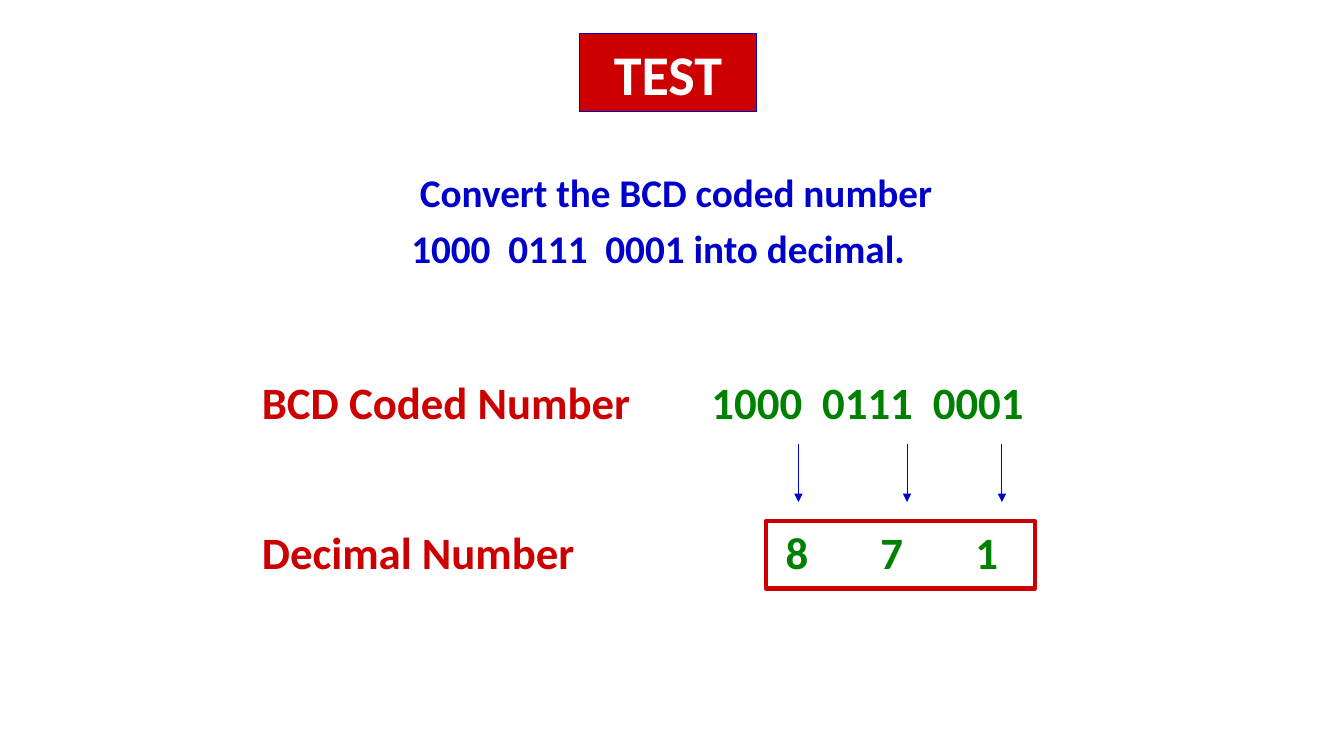
"""Builds the BCD to decimal test slide."""
from dataclasses import dataclass

from lxml import etree
from pptx import Presentation
from pptx import util as u
from pptx.dml.color import RGBColor
from pptx.enum import shapes, text
from pptx.oxml.ns import qn

COLORS = {"red": "CC0000", "blue": "0000CC", "green": "008000", "white": "FFFFFF"}
FONT = "Calibri"


@dataclass
class NumberRow:
    label: str
    groups: list[str]
    top: float
    first_tab: float
    tab_step: float


@dataclass
class Panel:
    left: float
    top: float
    width: float
    height: float
    line: str
    line_pt: float
    fill: str | None = None


NUMBER_ROWS = [
    NumberRow("BCD Coded Number", ["1000", "0111", "0001"], 9.32, 11.33, 2.79),
    NumberRow("Decimal Number", ["8", "7", "1"], 13.11, 13.2, 2.39),
]
ARROW_XS = [20.12, 22.86, 25.25]
ARROW_TOP, ARROW_BOTTOM = 11.18, 12.65
TEST_PANEL = Panel(14.61, 0.84, 4.45, 1.98, "blue", 0.75, "red")
ANSWER_PANEL = Panel(19.3, 13.13, 6.78, 1.7, "red", 3)
QUESTION = ["Convert the BCD coded number", "1000  0111  0001 into decimal.\t"]


def rgb(name: str) -> RGBColor:
    return RGBColor.from_string(COLORS[name])


def style(font, size: float, color: str | None = None) -> None:
    font.name, font.size, font.bold = FONT, u.Pt(size), True
    if color:
        font.color.rgb = rgb(color)


def add_text_frame(slide, left: float, top: float, width: float, height: float):
    frame = slide.shapes.add_textbox(u.Cm(left), u.Cm(top), u.Cm(width), u.Cm(height)).text_frame
    frame.word_wrap = True
    return frame


def add_question(slide) -> None:
    frame = add_text_frame(slide, 8.46, 4.24, 17.15, 3.18)
    for index, line in enumerate(QUESTION):
        paragraph = frame.paragraphs[0] if index == 0 else frame.add_paragraph()
        paragraph.text = line
        paragraph.alignment = text.PP_ALIGN.CENTER
        paragraph.line_spacing = 0.9
        if index:
            paragraph.space_before = u.Pt(10)
        properties = paragraph._p.get_or_add_pPr()
        properties.set("marL", str(u.Cm(0.64)))
        properties.set("indent", str(u.Cm(-0.64)))
        style(paragraph.font, 28, "blue")


def add_number_row(slide, row: NumberRow) -> None:
    paragraph = add_text_frame(slide, 6.35, row.top, 22, 1.6).paragraphs[0]
    tabs = etree.SubElement(paragraph._p.get_or_add_pPr(), qn("a:tabLst"))
    for index in range(len(row.groups)):
        position = u.Cm(row.first_tab + index * row.tab_step)
        etree.SubElement(tabs, qn("a:tab"), pos=str(position), algn="l")
    style(paragraph.font, 32)
    for content, color in ((row.label + "\t", "red"), ("\t".join(row.groups), "green")):
        run = paragraph.add_run()
        run.text = content
        run.font.color.rgb = rgb(color)


def add_arrow(slide, x: float) -> None:
    arrow = slide.shapes.add_connector(
        shapes.MSO_CONNECTOR.STRAIGHT, u.Cm(x), u.Cm(ARROW_TOP), u.Cm(x), u.Cm(ARROW_BOTTOM))
    arrow.line.color.rgb = rgb("blue")
    arrow.line.width = u.Pt(0.75)
    etree.SubElement(arrow.line._get_or_add_ln(), qn("a:tailEnd"), type="triangle")
    etree.SubElement(arrow._element.spPr, qn("a:effectLst"))


def add_panel(slide, panel: Panel):
    rectangle = slide.shapes.add_shape(
        shapes.MSO_SHAPE.RECTANGLE, u.Cm(panel.left), u.Cm(panel.top),
        u.Cm(panel.width), u.Cm(panel.height))
    rectangle.shadow.inherit = False
    rectangle.line.color.rgb = rgb(panel.line)
    rectangle.line.width = u.Pt(panel.line_pt)
    if panel.fill:
        rectangle.fill.solid()
        rectangle.fill.fore_color.rgb = rgb(panel.fill)
    else:
        rectangle.fill.background()
    return rectangle


def main() -> None:
    deck = Presentation()
    deck.slide_width, deck.slide_height = u.Cm(33.87), u.Cm(19.05)
    slide = deck.slides.add_slide(deck.slide_layouts[6])
    add_question(slide)
    for x in ARROW_XS:
        add_arrow(slide, x)
    heading = add_panel(slide, TEST_PANEL).text_frame
    heading.vertical_anchor = text.MSO_ANCHOR.MIDDLE
    heading.paragraphs[0].text = "TEST"
    heading.paragraphs[0].alignment = text.PP_ALIGN.CENTER
    style(heading.paragraphs[0].font, 40, "white")
    for row in NUMBER_ROWS:
        add_number_row(slide, row)
    add_panel(slide, ANSWER_PANEL)
    deck.save("out.pptx")


if __name__ == "__main__":
    main()
